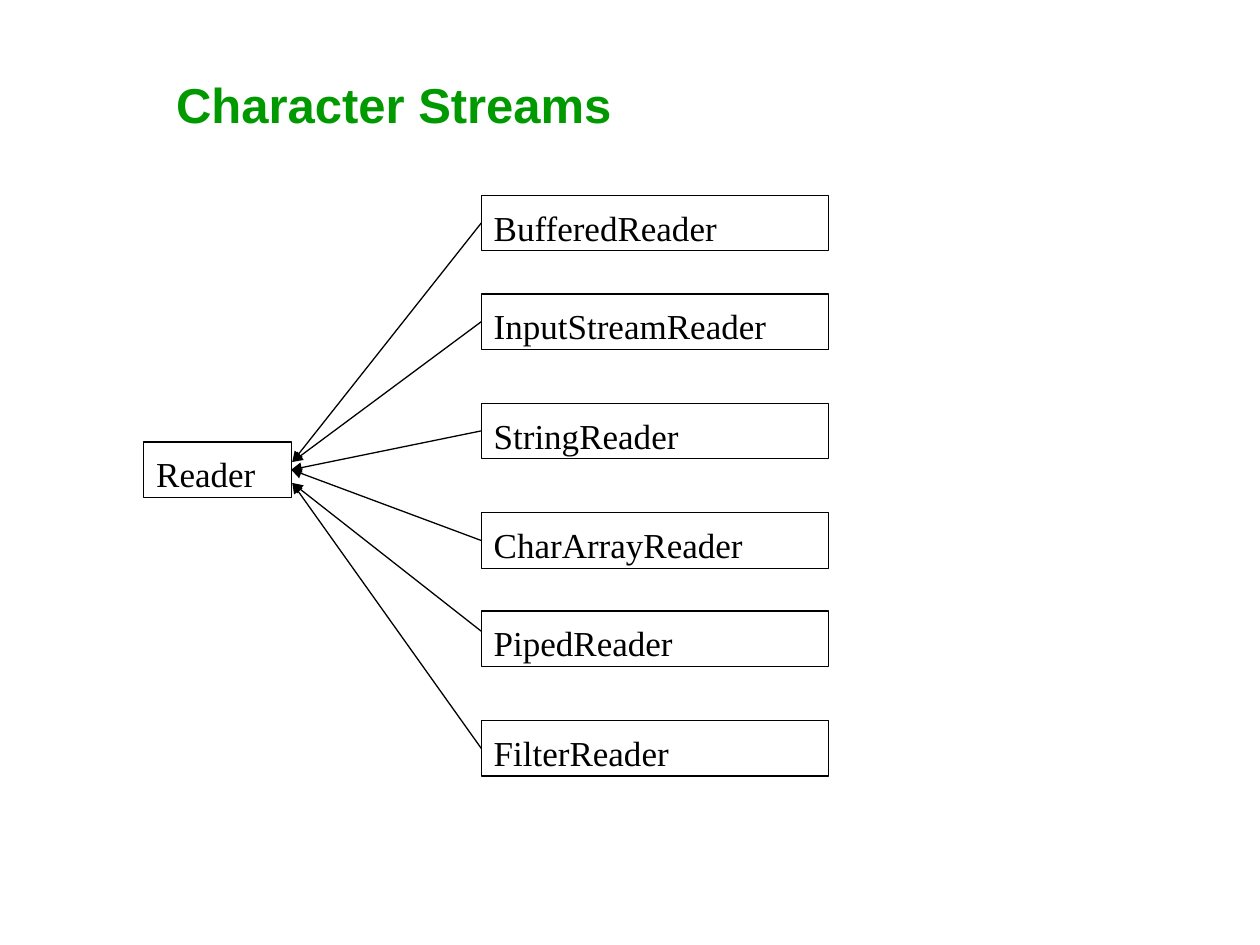
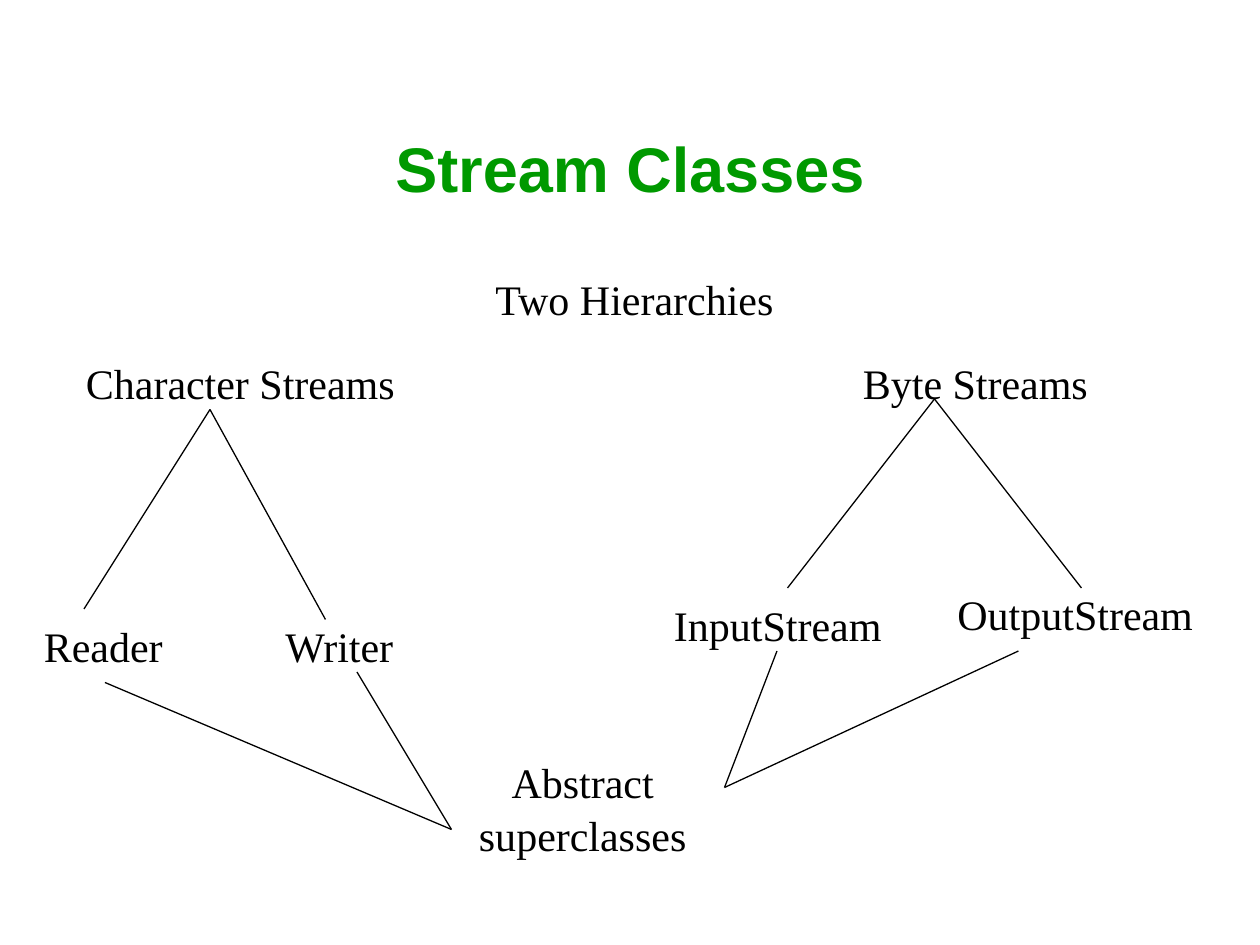
from dataclasses import dataclass

from lxml import etree
from pptx import Presentation
from pptx.dml.color import RGBColor
from pptx.enum.shapes import MSO_CONNECTOR, MSO_SHAPE
from pptx.enum.text import MSO_ANCHOR, MSO_AUTO_SIZE, PP_ALIGN
from pptx.oxml.ns import qn
from pptx.util import Inches, Pt

STRAIGHT = MSO_CONNECTOR.STRAIGHT
RECTANGLE = MSO_SHAPE.RECTANGLE
TOP, MIDDLE = MSO_ANCHOR.TOP, MSO_ANCHOR.MIDDLE
LEFT, CENTER = PP_ALIGN.LEFT, PP_ALIGN.CENTER
NO_AUTOFIT = MSO_AUTO_SIZE.NONE
LEFT_SIDE, RIGHT_SIDE = 1, 3
TITLE_ONLY = 5
CELLS_PER_INCH = 12


@dataclass(frozen=True)
class Theme:
    title_color: RGBColor = RGBColor(0x00, 0x99, 0x00)
    ink: RGBColor = RGBColor(0x00, 0x00, 0x00)
    title_font: str = "Arial"
    body_font: str = "Times New Roman"
    diagram_title: float = 28
    overview_title: float = 36
    class_name: float = 20
    label: float = 24
    line_width: float = 0.75
    line_spacing: float = 1.05


THEME = Theme()


def cells(*counts):
    return [Inches(count / CELLS_PER_INCH) for count in counts]


def write(box, text, size, font=THEME.body_font, color=THEME.ink,
          bold=False, align=LEFT, anchor=TOP):
    frame = box.text_frame
    frame.word_wrap = True
    frame.auto_size = NO_AUTOFIT
    frame.vertical_anchor = anchor
    frame.margin_left = frame.margin_right = Inches(0.1)
    frame.margin_top, frame.margin_bottom = Inches(0.07), Inches(0.03)
    frame.text = text
    para = frame.paragraphs[0]
    para.alignment = align
    para.line_spacing = THEME.line_spacing
    para.font.name = font
    para.font.size = Pt(size)
    para.font.bold = bold
    para.font.color.rgb = color


def add_page(deck, title, size, area):
    page = deck.slides.add_slide(deck.slide_layouts[TITLE_ONLY])
    box = page.shapes.title
    box.left, box.top, box.width, box.height = cells(*area)
    write(box, title, size, THEME.title_font, THEME.title_color,
          bold=True, align=CENTER, anchor=MIDDLE)
    return page


def style_line(line):
    line.color.rgb = THEME.ink
    line.width = Pt(THEME.line_width)


def add_class_box(page, name, area):
    box = page.shapes.add_shape(RECTANGLE, *cells(*area))
    box.shadow.inherit = False
    box.fill.background()
    style_line(box.line)
    write(box, name, THEME.class_name)
    return box


def add_label(page, text, area, align=LEFT):
    box = page.shapes.add_textbox(*cells(*area))
    write(box, text, THEME.label, align=align)


def add_line(page, start, end, arrow=False):
    connector = page.shapes.add_connector(STRAIGHT, *cells(*start, *end))
    style_line(connector.line)
    properties = connector._element.spPr
    if arrow:
        etree.SubElement(properties.find(qn("a:ln")), qn("a:tailEnd"), type="triangle")
    etree.SubElement(properties, qn("a:effectLst"))
    return connector


def add_fork(page, apex, *ends):
    for end in ends:
        add_line(page, apex, end)


def build_reader_page(deck):
    page = add_page(deck, "Character Streams", THEME.diagram_title, (14, 6, 47, 7))
    height, left, width = 5.28, 45.84, 33.1
    reader = add_class_box(page, "Reader", (13.7, 42.1, 14.04, height))
    tip_column, middle_row = 27.84, 45
    subclasses = [
        ("BufferedReader", 18.6, -1),
        ("InputStreamReader", 28, -1),
        ("StringReader", 38.4, 0),
        ("CharArrayReader", 48.84, 0),
        ("PipedReader", 58.2, 1),
        ("FilterReader", 68.64, 1),
    ]
    for name, row, tip_shift in subclasses:
        box = add_class_box(page, name, (left, row, width, height))
        off_center = name == "PipedReader"
        start_row = 60.12 if off_center else row + height / 2
        arrow = add_line(page, (left, start_row),
                         (tip_column, middle_row + tip_shift), arrow=True)
        if not off_center:
            arrow.begin_connect(box, LEFT_SIDE)
        if tip_shift == 0:
            arrow.end_connect(reader, RIGHT_SIDE)


def build_hierarchy_page(deck):
    page = add_page(deck, "Stream Classes", THEME.overview_title, (9, 8, 102, 15))
    labels = [
        ("Two Hierarchies", 46, 25, 35),
        ("Character Streams", 7, 33, 39),
        ("Byte Streams", 81, 33, 33),
        ("Reader", 3, 58, 18),
        ("Writer", 26, 58, 16),
        ("InputStream", 63, 56, 28),
        ("OutputStream", 90, 55, 30),
    ]
    for text, column, row, width in labels:
        add_label(page, text, (column, row, width, 6))
    add_label(page, "Abstract superclasses", (44, 71, 23, 10.8), CENTER)
    forks = [
        ((20, 39), (8, 58), (31, 59)),
        ((89, 38), (75, 56), (103, 56)),
        ((43, 79), (10, 65), (34, 64)),
        ((69, 75), (74, 62), (97, 62)),
    ]
    for fork in forks:
        add_fork(page, *fork)


def main():
    deck = Presentation()
    deck.slide_width, deck.slide_height = Inches(10), Inches(7.5)
    build_reader_page(deck)
    build_hierarchy_page(deck)
    deck.save("out.pptx")


if __name__ == "__main__":
    main()
